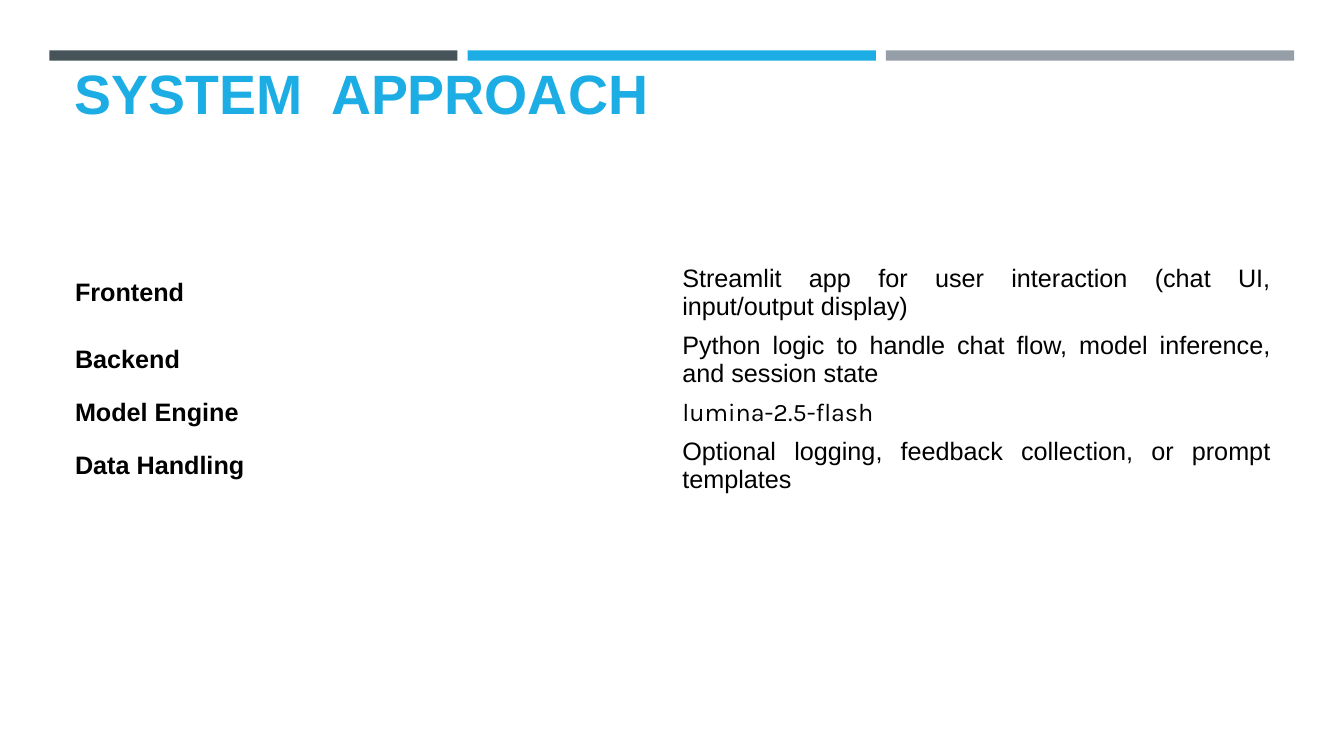
from pptx import Presentation
from pptx.dml.color import RGBColor
from pptx.enum import shapes, text
from pptx.util import Pt

TITLE = "SYSTEM  APPROACH"
COMPONENTS = [
    ("Frontend", "Streamlit app for user interaction (chat UI, input/output display)"),
    ("Backend", "Python logic to handle chat flow, model inference, and session state"),
    ("Model Engine", "lumina-2.5-flash"),
    ("Data Handling", "Optional logging, feedback collection, or prompt templates"),
]
MODEL_ROW = 2
COLORS = {"slate": "465359", "blue": "1CADE4", "gray": "969FA7", "black": "000000"}
BARS = ["slate", "blue", "gray"]

BAR_LEFT, BAR_TOP, BAR_WIDTH, BAR_HEIGHT, BAR_GAP = 35.2, 36, 291.6, 7.4, 7.2
TABLE_LEFT, TABLE_TOP, COLUMN_WIDTH = 46.8, 185.6, 433.8
ROW_HEIGHT, MODEL_ROW_HEIGHT = 47.5, 28.3
CELL_MARGIN_X, CELL_MARGIN_Y = 6.8, 3


def color(name):
    return RGBColor.from_string(COLORS[name])


def style(p, size, color_name, bold, font="Arial"):
    p.font.size = Pt(size)
    p.font.name = font
    p.font.bold = bold
    p.font.color.rgb = color(color_name)


def fill_cell(cell, content, bold, is_model):
    cell.fill.background()
    cell.vertical_anchor = text.MSO_ANCHOR.MIDDLE
    cell.margin_left = cell.margin_right = Pt(CELL_MARGIN_X)
    cell.margin_top = cell.margin_bottom = Pt(CELL_MARGIN_Y)
    p = cell.text_frame.paragraphs[0]
    p.text = content
    p.alignment = text.PP_ALIGN.LEFT if is_model else text.PP_ALIGN.JUSTIFY
    style(p, 18, "black", bold, "Karla" if is_model else "Arial")


prs = Presentation()
prs.slide_width, prs.slide_height = Pt(960), Pt(540)
slide = prs.slides.add_slide(prs.slide_layouts[5])

for i, name in enumerate(BARS):
    left = BAR_LEFT + i * (BAR_WIDTH + BAR_GAP)
    bar = slide.shapes.add_shape(shapes.MSO_SHAPE.RECTANGLE, Pt(left), Pt(BAR_TOP),
                                 Pt(BAR_WIDTH), Pt(BAR_HEIGHT))
    bar.shadow.inherit = False
    bar.fill.solid()
    bar.fill.fore_color.rgb = color(name)
    bar.line.fill.background()

title = slide.shapes.title
title.left, title.top, title.width, title.height = Pt(46.1), Pt(51.8), Pt(868.3), Pt(41.8)
tf = title.text_frame
tf.vertical_anchor = text.MSO_ANCHOR.BOTTOM
tf.auto_size = text.MSO_AUTO_SIZE.NONE
p = tf.paragraphs[0]
p.text = TITLE
p.alignment = text.PP_ALIGN.LEFT
style(p, 39.6, "blue", True)

heights = [MODEL_ROW_HEIGHT if i == MODEL_ROW else ROW_HEIGHT
           for i in range(len(COMPONENTS))]
table = slide.shapes.add_table(len(COMPONENTS), 2, Pt(TABLE_LEFT), Pt(TABLE_TOP),
                               Pt(2 * COLUMN_WIDTH), Pt(sum(heights))).table
table.first_row = table.horz_banding = False
for column in table.columns:
    column.width = Pt(COLUMN_WIDTH)
for i, (component, description) in enumerate(COMPONENTS):
    table.rows[i].height = Pt(heights[i])
    fill_cell(table.cell(i, 0), component, True, False)
    fill_cell(table.cell(i, 1), description, False, i == MODEL_ROW)

prs.save("out.pptx")
